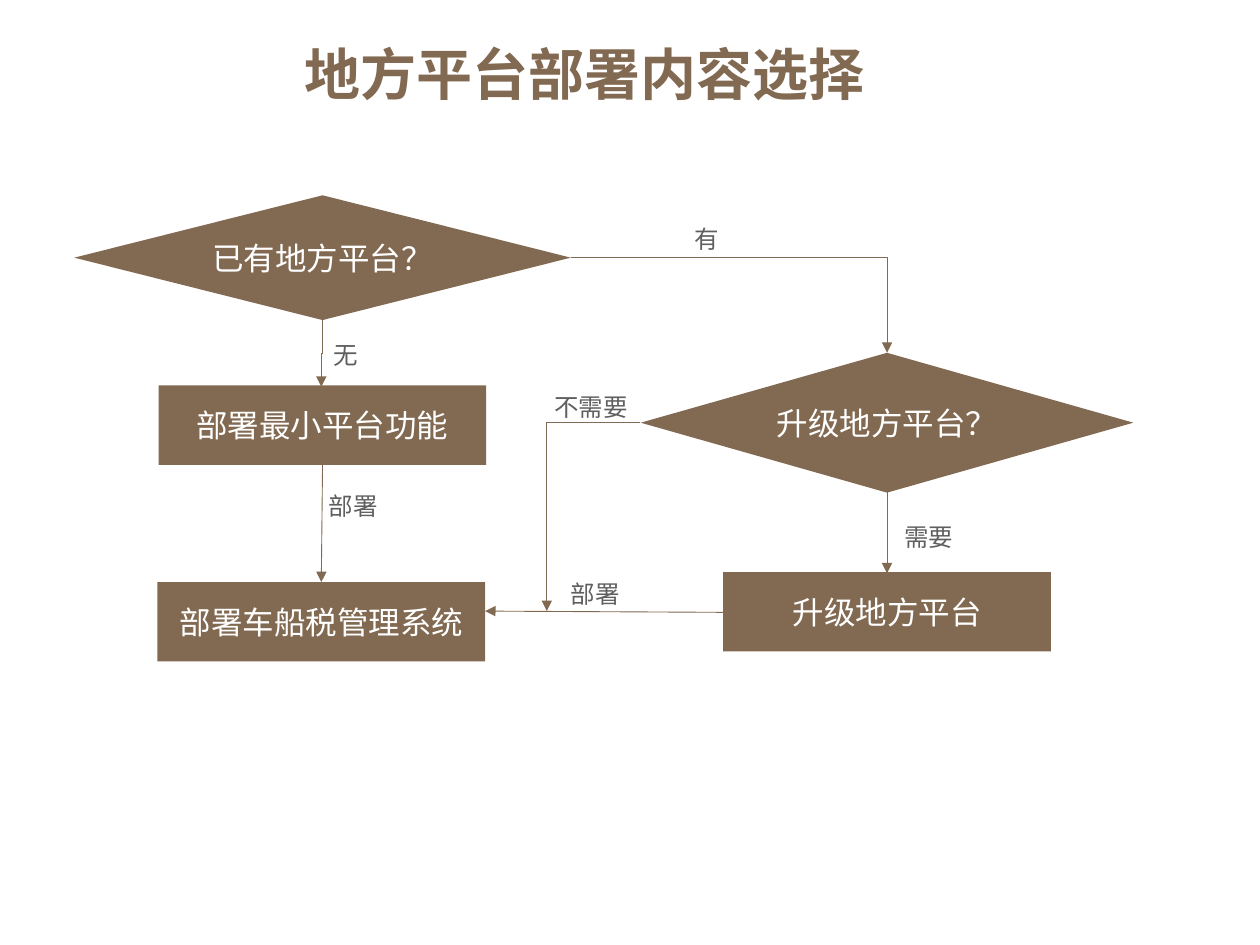
import pptx
import pptx.util
import pptx.dml.color
import pptx.enum.shapes
import pptx.enum.text
import pptx.oxml.ns
from lxml import etree

HUES = {"brown": "826951", "grey": "5F5F5F", "white": "FFFFFF"}
COLS, ROWS = 100, 75
WIDE, HIGH = pptx.util.Inches(10), pptx.util.Inches(7.5)

ANCHOR = pptx.enum.text.MSO_ANCHOR
ALIGN = pptx.enum.text.PP_ALIGN
FIT = pptx.enum.text.MSO_AUTO_SIZE
KIND = pptx.enum.shapes.MSO_SHAPE
LINK = pptx.enum.shapes.MSO_CONNECTOR
CJK = "Noto Sans CJK SC"

STYLES = {
    "title": {
        "frame": {"word_wrap": True, "vertical_anchor": ANCHOR.BOTTOM},
        "para": {"line_spacing": 0.9},
        "font": {"size": pptx.util.Pt(32), "name": CJK, "bold": True},
        "hue": "brown"},
    "node": {
        "frame": {"word_wrap": True, "vertical_anchor": ANCHOR.MIDDLE},
        "para": {"alignment": ALIGN.CENTER},
        "font": {"size": pptx.util.Pt(18), "name": "Arial"},
        "hue": "white"},
    "label": {
        "frame": {"word_wrap": False, "auto_size": FIT.SHAPE_TO_FIT_TEXT},
        "para": {"line_spacing": 1.3},
        "font": {"size": pptx.util.Pt(14), "name": "Arial"},
        "hue": "grey"},
}


def grid(col, row):
    return round(WIDE * col / COLS), round(HIGH * row / ROWS)


def tint(name):
    return pptx.dml.color.RGBColor.from_string(HUES[name])


def add(node, tag, **attrs):
    return etree.SubElement(node, pptx.oxml.ns.qn(tag), attrs)


def write(shape, text, style):
    look = STYLES[style]
    frame = shape.text_frame
    para = frame.paragraphs[0]
    run = para.add_run()
    run.text = text
    for part, key in ((frame, "frame"), (para, "para"), (run.font, "font")):
        for name, value in look[key].items():
            setattr(part, name, value)
    run.font.color.rgb = tint(look["hue"])
    add(run.font._element, "a:ea", typeface=CJK)


def note(slide, box, text, style):
    shape = slide.shapes.add_textbox(*grid(*box[:2]), *grid(*box[2:]))
    write(shape, text, style)


def node(slide, kind, box, text):
    shape = slide.shapes.add_shape(kind, *grid(*box[:2]), *grid(*box[2:]))
    shape.shadow.inherit = False
    shape.fill.solid()
    shape.fill.fore_color.rgb = tint("brown")
    shape.line.fill.background()
    write(shape, text, "node")


def arrow(slide, start, end, shape="line", turn=0):
    kind = LINK.STRAIGHT if shape == "line" else LINK.ELBOW
    link = slide.shapes.add_connector(kind, *grid(*start), *grid(*end))
    link.line.width = pptx.util.Pt(0.5)
    link.line.color.rgb = tint("brown")
    add(link.line._get_or_add_ln(), "a:tailEnd", type="triangle")
    props = link._element.spPr
    add(props, "a:effectLst")
    props.find(pptx.oxml.ns.qn("a:prstGeom")).set("prst", shape)
    if turn:
        props.find(pptx.oxml.ns.qn("a:xfrm")).set("rot", str(turn * 60000))


def flow(slide, box):
    left, top = box[:2]

    def at(col, row, *size):
        return (left + col, top + row, *size)

    mid, far = 19.7, 64.5       # centre lines of the two branches
    wide, tall = 26, 6.3        # size of a step

    # Decisions and steps: kind, centre column, top row, size, text
    ask, step = KIND.FLOWCHART_DECISION, KIND.RECTANGLE
    for kind, axis, row, w, h, text in (
            (ask, mid, 0, 39.4, 9.9, "已有地方平台？"),
            (step, mid, 15.1, wide, tall, "部署最小平台功能"),
            (step, mid - 0.1, 30.7, wide, tall, "部署车船税管理系统"),
            (ask, far, 12.5, 39.1, 11.1, "升级地方平台？"),
            (step, far, 29.9, wide, tall, "升级地方平台")):
        node(slide, kind, at(axis - w / 2, row, w, h), text)

    # Straight arrows
    for start, end in (
            ((mid, 21.4), (mid - 0.1, 30.7)),
            ((far, 22.3), (far, 30)),
            ((51.5, 33.1), (32.6, 33))):
        arrow(slide, at(*start), at(*end))

    # Bent arrows, the last one a small jog turned on its side
    for start, end, shape, turn in (
            ((39.4, 4.9), (far, 12.5), "bentConnector2", 0),
            ((44.9, 18), (37.5, 33), "bentConnector2", 0),
            ((17, 12.5), (22.3, 12.6), "bentConnector3", 90)):
        arrow(slide, at(*start), at(*end), shape, turn)

    # Branch labels
    for col, row, text in (
            (19.6, 10.3, "无"),
            (48.2, 1.1, "有"),
            (19.2, 22.3, "部署"),
            (38.4, 29.3, "部署"),
            (64.9, 24.7, "需要"),
            (37.1, 14.4, "不需要")):
        note(slide, at(col, row, 2 + 1.94 * len(text), 4.1), text, "label")


def main():
    deck = pptx.Presentation()
    deck.slide_width, deck.slide_height = WIDE, HIGH
    slide = deck.slides.add_slide(deck.slide_layouts[6])
    note(slide, (23.2, 2.7, 48, 6.3), "地方平台部署内容选择", "title")
    flow(slide, (5.9, 15.5, 84.1, 37))
    deck.save("out.pptx")


if __name__ == "__main__":
    main()
